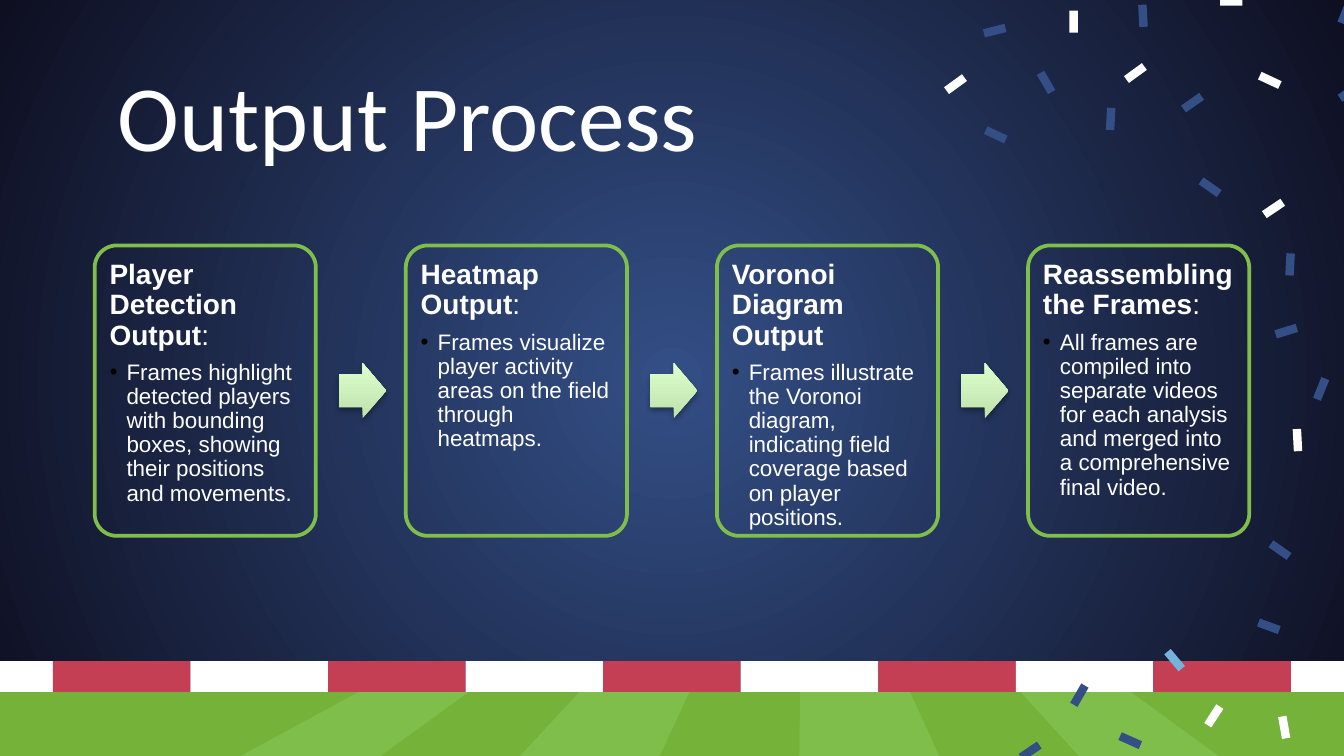
"""Build the "Output Process" slide: four step cards above a striped pitch with confetti."""
from typing import NamedTuple

from lxml.etree import SubElement
from pptx import Presentation
from pptx.dml.color import RGBColor
from pptx.enum.shapes import MSO_SHAPE as Shape
from pptx.enum.text import MSO_ANCHOR as Anchor, MSO_AUTO_SIZE as AutoSize, PP_ALIGN as Align
from pptx.oxml.ns import qn
from pptx.util import Cm, Pt

WHITE, NAVY, SKY = "FFFFFF", "334F86", "73B2D9"
GRASS, LIME, RED = "75B23A", "80BE4B", "C43E54"
WIDTH, HEIGHT = 25.4, 14.29
GRASS_TOP = 13.08
STRIPE_WIDTH, STRIPE_HEIGHT = 2.6, 0.58
CARD_LEFT, CARD_TOP, CARD_WIDTH, CARD_HEIGHT, CARD_STEP = 1.79, 4.64, 4.18, 5.49, 5.88
ARROW_WIDTH, ARROW_HEIGHT = 0.89, 1.04


class Confetto(NamedTuple):
    """One paper strip by its centre in centimetres, its turn in degrees and its colour."""
    x: float
    y: float
    turn: float
    color: str = NAVY


class Step(NamedTuple):
    """One card of the process."""
    heading: str
    ending: str
    detail: str


CONFETTI = [
    Confetto(24, 1.52, 25, WHITE), Confetto(21.46, 1.38, -36, WHITE),
    Confetto(18.06, 1.59, -36, WHITE), Confetto(20.29, 0.41, 90, WHITE),
    Confetto(21.36, 14, 24), Confetto(24.38, 5, 93), Confetto(20.99, 2.25, 93),
    Confetto(18.82, 2.55, 25), Confetto(19.77, 1.56, 60), Confetto(18.8, 0.58, -14),
    Confetto(22.94, 13.53, -57, WHITE), Confetto(24.27, 13.75, 80, WHITE),
    Confetto(19.47, 14.2, -34), Confetto(23.98, 11.84, 20), Confetto(22.2, 12.48, 50, SKY),
    Confetto(20.4, 13.14, -60), Confetto(24.52, 8.32, 87, WHITE), Confetto(24.97, 7.35, -68),
    Confetto(24.31, 6.26, -17), Confetto(24.19, 10.4, 35), Confetto(23.27, 0.03, 0, WHITE),
    Confetto(24.07, 3.94, -34, WHITE), Confetto(21.6, 0.3, 87), Confetto(25.43, 0.24, -68),
    Confetto(22.54, 1.94, -35), Confetto(25.5, 1.74, -34), Confetto(22.87, 3.54, 35),
]

STEPS = [
    Step("Player Detection Output", ":",
         "Frames highlight detected players with bounding boxes, "
         "showing their positions and movements."),
    Step("Heatmap Output", ":",
         "Frames visualize player activity areas on the field through heatmaps."),
    Step("Voronoi Diagram Output", "",
         "Frames illustrate the Voronoi diagram, indicating field coverage "
         "based on player positions."),
    Step("Reassembling the Frames", ":",
         "All frames are compiled into separate videos for each analysis "
         "and merged into a comprehensive final video."),
]


def rgb(color: str) -> RGBColor:
    """Turn a hex string into a colour."""
    return RGBColor.from_string(color)


def paint(shape, color: str) -> None:
    """Give a shape a flat fill without outline or shadow."""
    shape.shadow.inherit = False
    shape.fill.solid()
    shape.fill.fore_color.rgb = rgb(color)
    shape.line.fill.background()


def set_gradient(fill, first: str, last: str) -> None:
    """Give a fill a gradient of two colours."""
    fill.gradient()
    for stop, color in zip(fill.gradient_stops, (first, last)):
        stop.color.rgb = rgb(color)


def add_block(page, left: float, top: float, width: float, height: float, color: str):
    """Add a flat rectangle."""
    block = page.shapes.add_shape(Shape.RECTANGLE, Cm(left), Cm(top), Cm(width), Cm(height))
    paint(block, color)
    return block


def add_background(page) -> None:
    """Fill the page with a glow from its centre."""
    set_gradient(page.background.fill, NAVY, "0E0F21")
    gradient = page.element.find(".//" + qn("a:gradFill"))
    gradient.remove(gradient.find(qn("a:lin")))
    glow = SubElement(gradient, qn("a:path"), {"path": "circle"})
    SubElement(glow, qn("a:fillToRect"), dict.fromkeys("ltrb", "50000"))


def add_pitch(page) -> None:
    """Add the grass, its widening light rays and the striped board."""
    add_block(page, 0, GRASS_TOP, WIDTH, HEIGHT - GRASS_TOP, GRASS)
    for index in range(4):
        top, bottom = 6.78 + 4.17 * index, 4.55 + 5.28 * index
        outline = page.shapes.build_freeform(Cm(top), Cm(GRASS_TOP))
        outline.add_line_segments([(Cm(bottom), Cm(HEIGHT)), (Cm(bottom + 2.64), Cm(HEIGHT)),
                                   (Cm(top + 2.08), Cm(GRASS_TOP))])
        paint(outline.convert_to_shape(), LIME)
    for index in range(11):
        add_block(page, 1 + STRIPE_WIDTH * (index - 1), GRASS_TOP - STRIPE_HEIGHT,
                  STRIPE_WIDTH, STRIPE_HEIGHT, RED if index % 2 else WHITE)


def add_confetto(page, piece: Confetto) -> None:
    """Add one turned paper strip."""
    length, breadth = 0.42, 0.16
    strip = add_block(page, piece.x - length / 2, piece.y - breadth / 2,
                      length, breadth, piece.color)
    strip.rotation = piece.turn


def add_span(para, text: str, size: float, bold: bool = False, font: str = "Arial") -> None:
    """Add a white run to a paragraph."""
    span = para.add_run()
    span.text = text
    span.font.name, span.font.size, span.font.bold = font, Pt(size), bold
    span.font.color.rgb = rgb(WHITE)


def add_bullet(para) -> None:
    """Give a paragraph a black bullet with a hanging indent."""
    properties = para._p.get_or_add_pPr()
    properties.set("marL", str(Cm(0.32)))
    properties.set("indent", str(-Cm(0.32)))
    SubElement(SubElement(properties, qn("a:buClr")), qn("a:srgbClr"), val="000000")
    SubElement(properties, qn("a:buFont"), typeface="Arial")
    SubElement(properties, qn("a:buChar"), char="•")


def add_card(page, left: float, step: Step) -> None:
    """Add an outlined card with a heading and a bullet."""
    card = page.shapes.add_shape(Shape.ROUNDED_RECTANGLE, Cm(left), Cm(CARD_TOP),
                                 Cm(CARD_WIDTH), Cm(CARD_HEIGHT))
    card.adjustments[0] = 0.1
    card.shadow.inherit = False
    card.fill.background()
    card.line.color.rgb, card.line.width = rgb(LIME), Pt(2)
    box = card.text_frame
    box.word_wrap, box.vertical_anchor = True, Anchor.TOP
    box.margin_left = box.margin_top = box.margin_right = box.margin_bottom = Cm(0.16)
    heading, detail = box.paragraphs[0], box.add_paragraph()
    for para, gap in ((heading, 5.25), (detail, 1.8)):
        para.alignment, para.line_spacing, para.space_after = Align.LEFT, 0.9, Pt(gap)
    add_span(heading, step.heading, 15, bold=True)
    if step.ending:
        add_span(heading, step.ending, 15)
    add_bullet(detail)
    add_span(detail, step.detail, 12)


def add_arrow(page, left: float) -> None:
    """Add a pale green block arrow with a soft shadow, level with the card centres."""
    top = CARD_TOP + (CARD_HEIGHT - ARROW_HEIGHT) / 2
    arrow = page.shapes.add_shape(Shape.RIGHT_ARROW, Cm(left), Cm(top),
                                  Cm(ARROW_WIDTH), Cm(ARROW_HEIGHT))
    arrow.adjustments[0], arrow.adjustments[1] = 0.6, 0.5
    set_gradient(arrow.fill, "BFE1AC", "DDFFCC")
    arrow.fill.gradient_angle = 90
    arrow.line.fill.background()
    arrow.shadow.inherit = False
    effects = arrow.element.spPr.find(qn("a:effectLst"))
    shadow = SubElement(effects, qn("a:outerShdw"), blurRad=str(Pt(3.1)), dist=str(Pt(1.8)),
                        dir="5400000", rotWithShape="0")
    tint = SubElement(shadow, qn("a:srgbClr"), val="000000")
    SubElement(tint, qn("a:alpha"), val="35000")


def set_title(page, text: str) -> None:
    """Place and format the title."""
    title = page.shapes.title
    title.left, title.top, title.width, title.height = Cm(1.98), Cm(1.5), Cm(21.44), Cm(1.32)
    box = title.text_frame
    box.auto_size, box.word_wrap, box.vertical_anchor = AutoSize.NONE, True, Anchor.MIDDLE
    box.margin_left = box.margin_top = box.margin_right = box.margin_bottom = Cm(0.25)
    box.paragraphs[0].alignment = Align.LEFT
    add_span(box.paragraphs[0], text, 50, font="Calibri")


def main() -> None:
    """Build and save the deck."""
    deck = Presentation()
    deck.slide_width, deck.slide_height = Cm(WIDTH), Cm(HEIGHT)
    page = deck.slides.add_slide(deck.slide_layouts[5])
    add_background(page)
    add_pitch(page)
    for piece in CONFETTI:
        add_confetto(page, piece)
    for index, step in enumerate(STEPS):
        left = CARD_LEFT + CARD_STEP * index
        if index:
            add_arrow(page, left - 1.26)
        add_card(page, left, step)
    set_title(page, "Output Process")
    deck.save("out.pptx")


if __name__ == "__main__":
    main()
